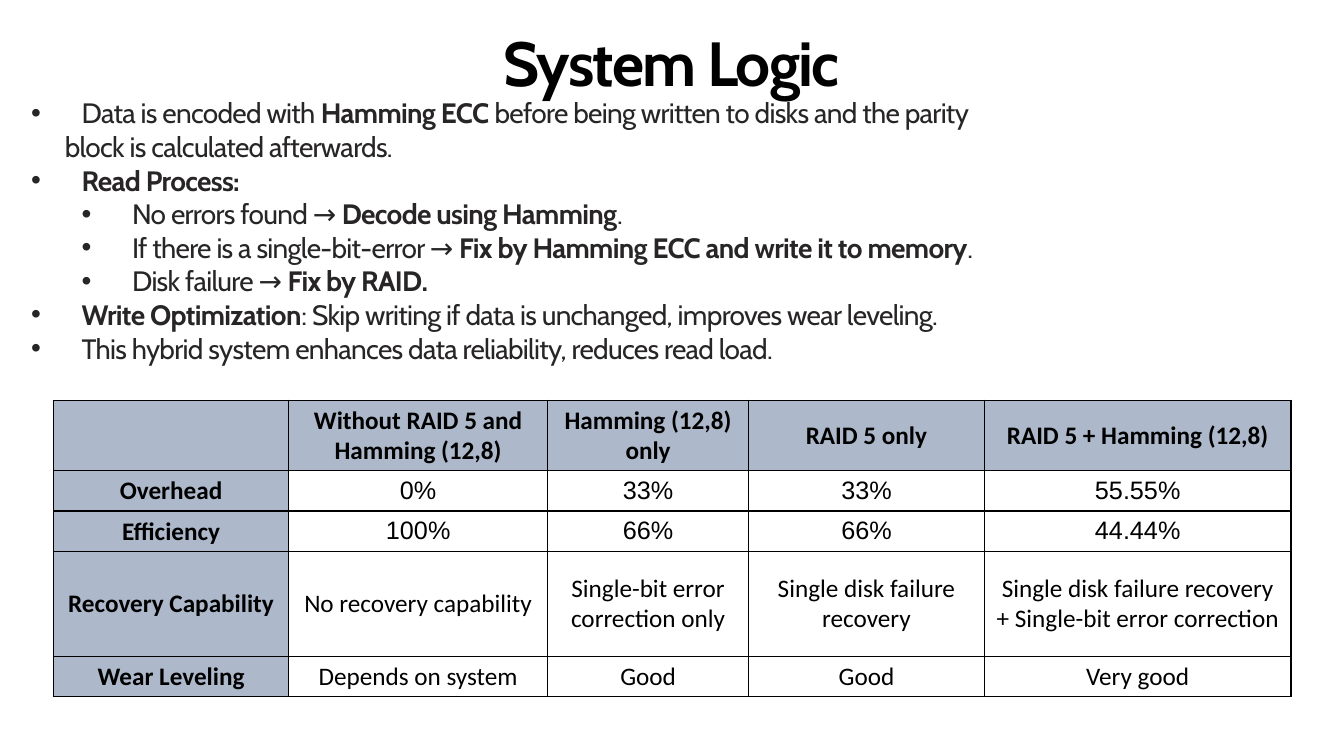
from lxml.etree import SubElement
from pptx import Presentation
from pptx.dml.color import RGBColor
from pptx.enum.text import MSO_ANCHOR, PP_ALIGN
from pptx.oxml.ns import qn
from pptx.util import Pt

BLACK, GREY, BLUE = "000000", "272525", "ADB9CA"

# Text between asterisks is bold; each item is (kind, text)
POINTS = [
    ("main", "Data is encoded with *Hamming ECC *before being written to disks and the parity"),
    ("plain", "block is calculated afterwards."),
    ("main", "*Read Process:*"),
    ("sub", "No errors found → *Decode using Hamming*."),
    ("sub", "If there is a single-bit-error → *Fix by Hamming ECC and write it to memory*."),
    ("sub", "Disk failure → *Fix by RAID.*"),
    ("main", "*Write Optimization*: Skip writing if data is unchanged, improves wear leveling."),
    ("main", "This hybrid system enhances data reliability, reduces read load."),
]
# Left margin and first-line indent of each kind
INDENTS = {"main": (36, -36), "plain": (24, 0), "sub": (72, -36)}

ROWS = [
    ["", "Without RAID 5 and Hamming (12,8)", "Hamming (12,8) only",
     "RAID 5 only", "RAID 5 + Hamming (12,8)"],
    ["Overhead", "0%", "33%", "33%", "55.55%"],
    ["Efficiency", "100%", "66%", "66%", "44.44%"],
    ["Recovery Capability", "No recovery capability",
     "Single-bit error correction only", "Single disk failure recovery",
     "Single disk failure recovery + Single-bit error correction"],
    ["Wear Leveling", "Depends on system", "Good", "Good", "Very good"],
]
WIDTHS = [168, 185, 143.5, 168.5, 219]
HEIGHTS = [47, 27, 27, 75, 27]


def color(value):
    return RGBColor.from_string(value)


def write(para, text, size=18, font="Calibri", fill=BLACK, bold=False,
          space=0, center=False):
    """Fill a paragraph; asterisks switch bold on and off."""
    if center:
        para.alignment = PP_ALIGN.CENTER
        para._p.get_or_add_pPr().set("rtl", "1")
    for i, part in enumerate(text.split("*")):
        if not part:
            continue
        run = para.add_run()
        run.text = part
        run.font.size = Pt(size)
        run.font.name = font
        run.font.bold = bold or i % 2 == 1
        run.font.color.rgb = color(fill)
        props = run._r.get_or_add_rPr()
        if space:
            props.set("spc", str(round(space * 100)))
        if center:
            SubElement(props, qn("a:cs")).set("typeface", "Arial")


def add_box(slide, left, top, width, height):
    frame = slide.shapes.add_textbox(Pt(left), Pt(top), Pt(width), Pt(height)).text_frame
    frame.word_wrap = True
    frame.margin_left = frame.margin_right = 0
    frame.margin_top = frame.margin_bottom = 0
    return frame


def add_title(slide, text):
    para = add_box(slide, 299, 15, 361, 53).paragraphs[0]
    para.line_spacing = Pt(55.5)
    write(para, text, size=44.5, font="Cabin", bold=True, space=-1.3, center=True)


def add_points(slide, points):
    frame = add_box(slide, 22.3, 68.4, 915, 212)
    for i, (kind, text) in enumerate(points):
        para = frame.add_paragraph() if i else frame.paragraphs[0]
        props = para._p.get_or_add_pPr()
        left, indent = INDENTS[kind]
        props.set("marL", str(Pt(left)))
        props.set("indent", str(Pt(indent)))
        if kind == "sub":
            para.level = 1
        if kind != "plain":
            SubElement(props, qn("a:buFont")).set("typeface", "Arial")
            SubElement(props, qn("a:buChar")).set("char", "•")
        write(para, text, size=20, font="Cabin", fill=GREY, space=-0.5)


def add_edges(cell):
    props = cell._tc.get_or_add_tcPr()
    for side in ("lnL", "lnR", "lnT", "lnB"):
        line = SubElement(props, qn("a:" + side), w=str(Pt(1)))
        fill = SubElement(line, qn("a:solidFill"))
        SubElement(fill, qn("a:srgbClr")).set("val", BLACK)


def add_grid(slide, rows):
    table = slide.shapes.add_table(len(rows), len(WIDTHS), Pt(38.2), Pt(285.8),
                                   Pt(sum(WIDTHS)), Pt(sum(HEIGHTS))).table
    table.first_row = table.horz_banding = False
    for col, width in zip(table.columns, WIDTHS):
        col.width = Pt(width)
    for r, row in enumerate(rows):
        table.rows[r].height = Pt(HEIGHTS[r])
        for c, text in enumerate(row):
            cell = table.cell(r, c)
            head = r == 0 or c == 0
            cell.vertical_anchor = MSO_ANCHOR.MIDDLE
            add_edges(cell)
            if head:
                cell.fill.solid()
                cell.fill.fore_color.rgb = color(BLUE)
            else:
                cell.fill.background()
            write(cell.text_frame.paragraphs[0], text, bold=head, center=True)


def main():
    deck = Presentation()
    deck.slide_width, deck.slide_height = Pt(960), Pt(540)
    slide = deck.slides.add_slide(deck.slide_layouts[6])
    add_title(slide, "System Logic")
    add_points(slide, POINTS)
    add_grid(slide, ROWS)
    deck.save("out.pptx")


if __name__ == "__main__":
    main()
